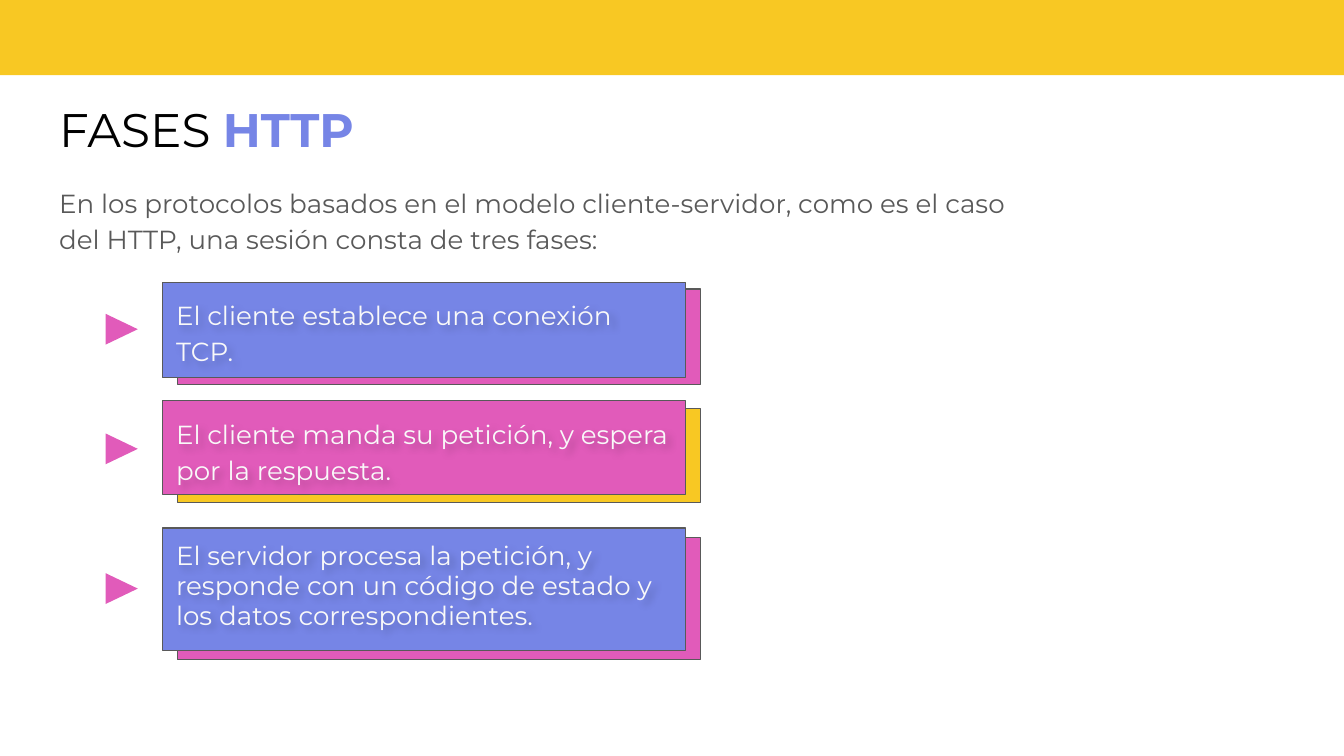
from lxml import etree
from pptx import Presentation
from pptx.dml.color import RGBColor
from pptx.enum.shapes import MSO_SHAPE
from pptx.enum.text import MSO_ANCHOR, MSO_AUTO_SIZE, PP_ALIGN
from pptx.oxml.ns import qn
from pptx.util import Inches, Pt

RECTANGLE = MSO_SHAPE.RECTANGLE
TRIANGLE = MSO_SHAPE.ISOSCELES_TRIANGLE
TOP = MSO_ANCHOR.TOP
LEFT = PP_ALIGN.LEFT
NO_FIT = MSO_AUTO_SIZE.NONE
COMPARISON_LAYOUT = 4  # a title and four text placeholders

YELLOW, PINK, BLUE = "F8C823", "E15BBA", "7685E6"
BLACK, GREY, PALE = "000000", "595959", "F9F9F9"


def color(value):
    return RGBColor.from_string(value)


class SlideBuilder:
    font_name = "Montserrat"
    title_size = Pt(25.2)
    body_size = Pt(14)

    def __init__(self, presentation):
        layout = presentation.slide_layouts[COMPARISON_LAYOUT]
        self.slide = presentation.slides.add_slide(layout)
        self.bodies = iter(list(self.slide.placeholders)[1:])

    def shape(self, kind, left, top, width, height, fill, outline=None):
        shape = self.slide.shapes.add_shape(
            kind, Inches(left), Inches(top), Inches(width), Inches(height))
        shape.shadow.inherit = False
        shape.fill.solid()
        shape.fill.fore_color.rgb = color(fill)
        if outline:
            shape.line.color.rgb = color(outline)
            shape.line.width = Pt(0.75)
        else:
            shape.line.fill.background()
        return shape

    def place(self, placeholder, left, top, width, height):
        """Position a placeholder in front and return its only paragraph."""
        placeholder.left, placeholder.top = Inches(left), Inches(top)
        placeholder.width, placeholder.height = Inches(width), Inches(height)
        self.slide.shapes._spTree.append(placeholder._element)
        frame = placeholder.text_frame
        frame.margin_left = frame.margin_right = Inches(0.1)
        frame.margin_top = frame.margin_bottom = Inches(0.1)
        frame.vertical_anchor = TOP
        frame.auto_size = NO_FIT
        frame.word_wrap = True
        paragraph = frame.paragraphs[0]
        paragraph.alignment = LEFT
        paragraph.space_before = Pt(0)
        paragraph.font.name = self.font_name
        return paragraph

    def title(self, plain, accent, *box):
        paragraph = self.place(self.slide.shapes.title, *box)
        paragraph.font.size = self.title_size
        for text, value, bold in ((plain, BLACK, False), (accent, BLUE, True)):
            run = paragraph.add_run()
            run.text = text
            run.font.color.rgb = color(value)
            run.font.bold = bold

    def body(self, text, box, text_color, spacing=1.15):
        placeholder = next(self.bodies)
        paragraph = self.place(placeholder, *box)
        paragraph.text = text
        paragraph.line_spacing = spacing
        paragraph.space_after = Pt(12)
        paragraph.font.size = self.body_size
        paragraph.font.bold = False
        paragraph.font.color.rgb = color(text_color)
        # No bullet and no hanging indent
        properties = paragraph._p.get_or_add_pPr()
        properties.set("marL", "0")
        properties.set("indent", "0")
        bullet = etree.Element(qn("a:buNone"))
        properties.find(qn("a:defRPr")).addprevious(bullet)
        return placeholder

    def soft_shadow(self, placeholder):
        effects = etree.SubElement(
            placeholder._element.spPr, qn("a:effectLst"))
        shadow = etree.SubElement(
            effects, qn("a:outerShdw"), blurRad=str(Pt(4)), dist=str(Pt(3)),
            dir="2700000", algn="tl", rotWithShape="0")
        black = etree.SubElement(shadow, qn("a:srgbClr"), val=BLACK)
        etree.SubElement(black, qn("a:alpha"), val="20000")

    def phase(self, text, top, text_top, height, drop, fill, back,
              marker_top, spacing):
        left, width = 1.21, 3.89
        self.shape(RECTANGLE, left + 0.11, top + drop, width, height, back, GREY)
        self.shape(RECTANGLE, left, top, width, height, fill, GREY)
        box = (left, text_top, width, height)
        self.soft_shadow(self.body(text, box, PALE, spacing))
        marker = self.shape(TRIANGLE, 0.79, marker_top, 0.23, 0.24, PINK)
        marker.rotation = 90


def main():
    presentation = Presentation()
    presentation.slide_width = Inches(10)
    presentation.slide_height = Inches(10) * 9 // 16
    builder = SlideBuilder(presentation)

    # Top band, heading and introduction
    builder.shape(RECTANGLE, -0.01, -0.05, 10.03, 0.61, YELLOW)
    builder.title("FASES ", "HTTP", 0.34, 0.65, 9.32, 0.63)
    builder.body(
        "En los protocolos basados en el modelo cliente-servidor, "
        "como es el caso del HTTP, una sesión consta de tres fases:",
        (0.34, 1.26, 7.53, 0.76), GREY)

    # Phases: text, top, text top, height, drop, fill, back, marker top, spacing
    phases = (
        ("El cliente establece una conexión TCP.",
         2.1, 2.09, 0.71, 0.05, BLUE, PINK, 2.33, 1.15),
        ("El cliente manda su petición, y espera por la respuesta.",
         2.98, 2.98, 0.7, 0.06, PINK, YELLOW, 3.22, 1.15),
        ("El servidor procesa la petición, y responde con un código "
         "de estado y los datos correspondientes.",
         3.93, 3.93, 0.91, 0.07, BLUE, PINK, 4.26, 0.95),
    )
    for phase in phases:
        builder.phase(*phase)

    presentation.save("out.pptx")


if __name__ == "__main__":
    main()
